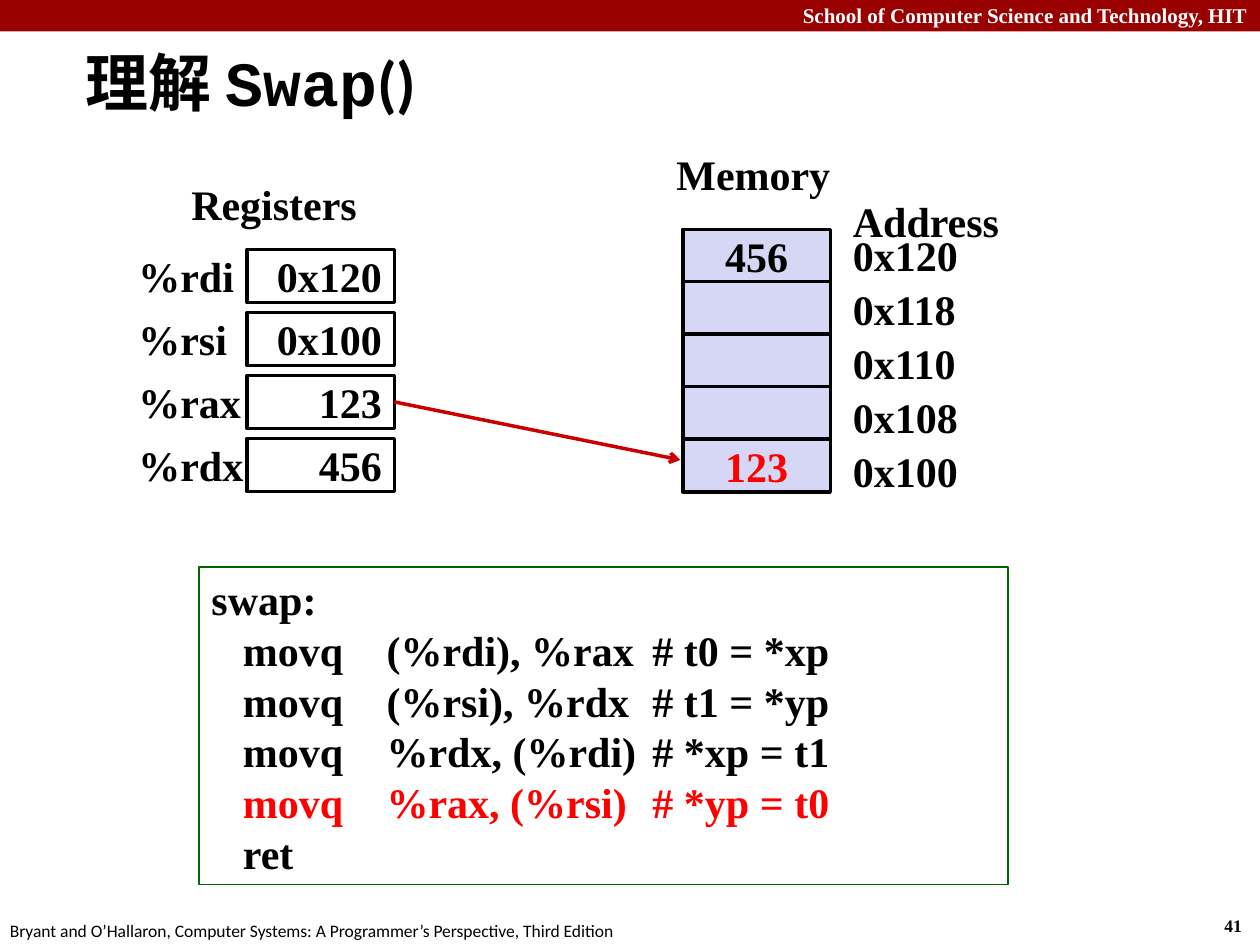
import pptx
import pptx.util
import pptx.dml.color
import pptx.enum.shapes
import pptx.enum.text
import pptx.oxml.ns
import lxml.etree

Inches = pptx.util.Inches
Pt = pptx.util.Pt
Align = pptx.enum.text.PP_ALIGN
Anchor = pptx.enum.text.MSO_ANCHOR
Rect = pptx.enum.shapes.MSO_SHAPE.RECTANGLE
qn = pptx.oxml.ns.qn
serif = "Times New Roman"


def color(code):
    return pptx.dml.color.RGBColor.from_string(code)


def add(text, left, top, width, height, fill=None, line=None, align=Align.LEFT,
        ink="000000", size=24, font=serif, bold=True, wrap=False):
    """Add a box (with a fill or line) or a plain label, with styled text."""
    place = [Inches(n) for n in (left, top, width, height)]
    if fill or line:
        box = slide.shapes.add_shape(Rect, *place)
        box.shadow.inherit = False
        if fill:
            box.fill.solid()
            box.fill.fore_color.rgb = color(fill)
        else:
            box.fill.background()
        if line:
            box.line.color.rgb = color(line)
            box.line.width = Pt(2)
        else:
            box.line.fill.background()
    else:
        box = slide.shapes.add_textbox(*place)
    frame = box.text_frame
    frame.word_wrap = wrap
    frame.vertical_anchor = Anchor.MIDDLE if fill else Anchor.TOP
    frame.text = text
    for para in frame.paragraphs:
        para.alignment = align
        para.font.size = Pt(size)
        for run in para.runs:
            run.font.name = font
            run.font.size = Pt(size)
            run.font.bold = bold
            run.font.color.rgb = color(ink)
    return box


deck = pptx.Presentation()
deck.slide_width = Inches(10)
deck.slide_height = Inches(7.5)
slide = deck.slides.add_slide(deck.slide_layouts[5])

# Header band and footer
add("", 0, 0, 10, 0.25, fill="990000")
add("School of Computer Science and Technology, HIT", 0, -0.03, 10, 0.3,
    align=Align.RIGHT, ink="FFFFFF", size=12, wrap=True)
add("Bryant and O\u2019Hallaron, Computer Systems: A Programmer\u2019s Perspective, "
    "Third Edition", -0.02, 7.25, 5.08, 0.27, size=10, font="Calibri", bold=False)
add("41", 9.62, 7.21, 0.37, 0.27, size=10)

# Title
title = slide.shapes.title
title.left, title.top = Inches(0.58), Inches(0.33)
title.width, title.height = Inches(6.97), Inches(0.63)
title.text_frame.vertical_anchor = Anchor.MIDDLE
para = title.text_frame.paragraphs[0]
para.alignment = Align.LEFT
for text, font in (("理解 ", "Calibri"), ("Swap", "Courier New"), ("()", "Calibri")):
    run = para.add_run()
    run.text = text
    run.font.name = font
    run.font.size = Pt(36)
    run.font.bold = True
    run.font.color.rgb = color("000000")

# Memory cells and their addresses
add("Memory", 5.27, 1.13, 1.43, 0.5)
add("Address", 6.67, 1.5, 1.75, 0.5, wrap=True)
cells = [("456", "0x120"), ("", "0x118"), ("", "0x110"), ("", "0x108"),
         ("123", "0x100")]
for i, (value, place) in enumerate(cells):
    add(value, 5.42, 1.82 + i * 0.416, 1.17, 0.42, fill="D6D6F5", line="000000",
        align=Align.CENTER, ink="FF0000" if value == "123" else "000000")
    add(place, 6.67, 1.77 + i * 0.43, 1.75, 0.5, wrap=True)

# Registers
add("Registers", 1.42, 1.37, 1.53, 0.5)
regs = [("%rdi", "0x120"), ("%rsi", "0x100"), ("%rax", "123"), ("%rdx", "456")]
for i, (name, value) in enumerate(regs):
    top = 1.98 + i * 0.5
    add(name, 1, top, 0.96, 0.42, fill="FFFFFF")
    add(value, 1.96, top, 1.17, 0.42, fill="FFFFFF", line="000000",
        align=Align.RIGHT)

# Arrow from %rax to the last memory cell
arrow = slide.shapes.add_connector(
    pptx.enum.shapes.MSO_CONNECTOR.STRAIGHT,
    Inches(3.13), Inches(3.19), Inches(5.4), Inches(3.65))
arrow.line.color.rgb = color("CC0000")
arrow.line.width = Pt(2)
lxml.etree.SubElement(arrow.line._get_or_add_ln(), qn("a:tailEnd"), type="arrow")
lxml.etree.SubElement(arrow._element.spPr, qn("a:effectLst"))

# Assembly code, in columns set by tab stops
lines = ["swap:",
         "\tmovq\t(%rdi), %rax\t# t0 = *xp",
         "\tmovq\t(%rsi), %rdx\t# t1 = *yp",
         "\tmovq\t%rdx, (%rdi)\t# *xp = t1",
         "\tmovq\t%rax, (%rsi)\t# *yp = t0",
         "\tret"]
code = add("\n".join(lines), 1.58, 4.5, 6.42, 2.52, line="006600", wrap=True)
code.line.width = Pt(1)
for para in code.text_frame.paragraphs:
    para.line_spacing = Pt(29)
    tabs = lxml.etree.SubElement(para._p.get_or_add_pPr(), qn("a:tabLst"))
    for stop in (0.25, 1.39, 3.5):
        lxml.etree.SubElement(tabs, qn("a:tab"), pos=str(Inches(stop)), algn="l")
    # Schema order: tab stops come before the default run properties
    base = para._p.pPr.find(qn("a:defRPr"))
    base.addprevious(tabs)
for run in code.text_frame.paragraphs[4].runs:
    run.font.color.rgb = color("FF0000")

deck.save("out.pptx")
